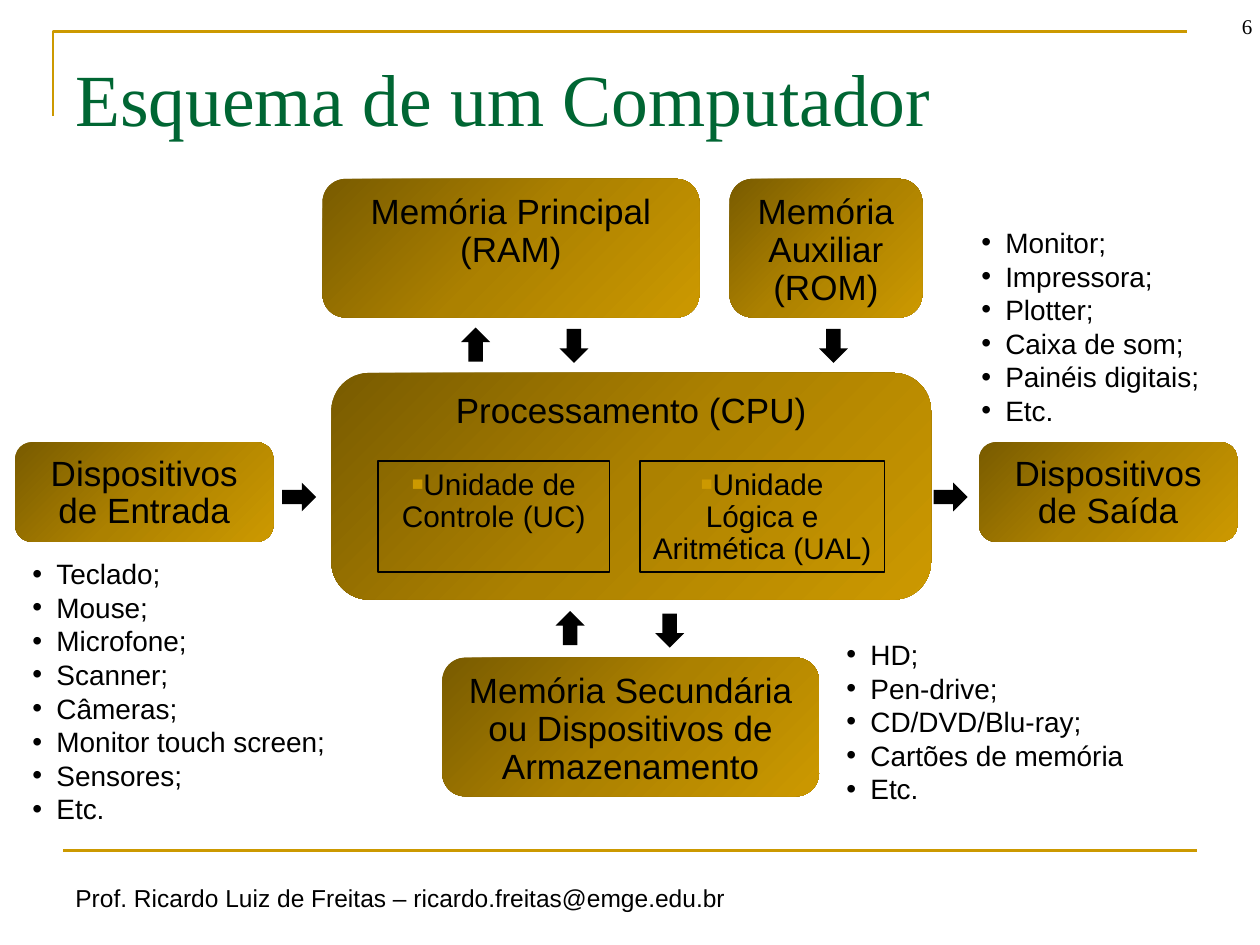
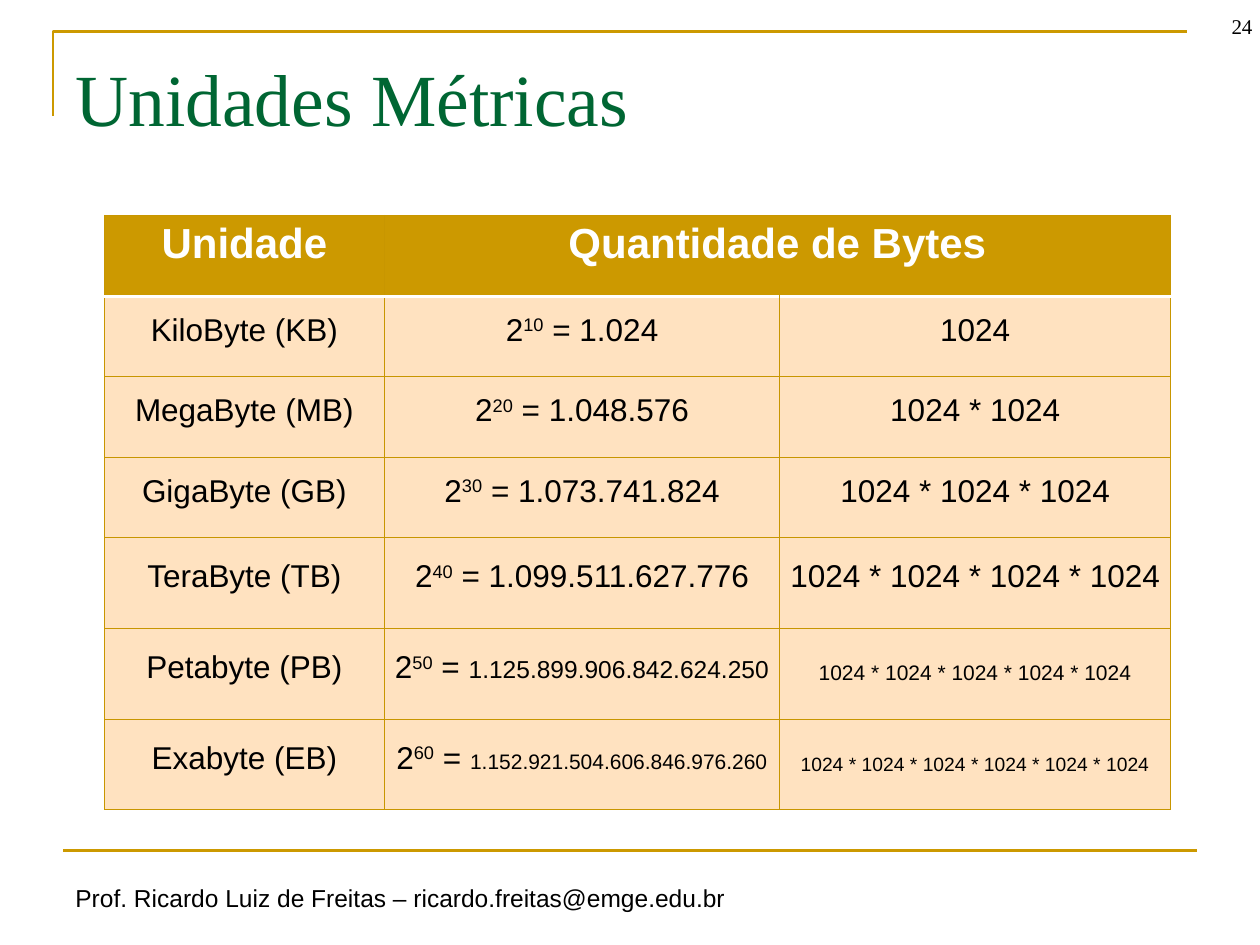
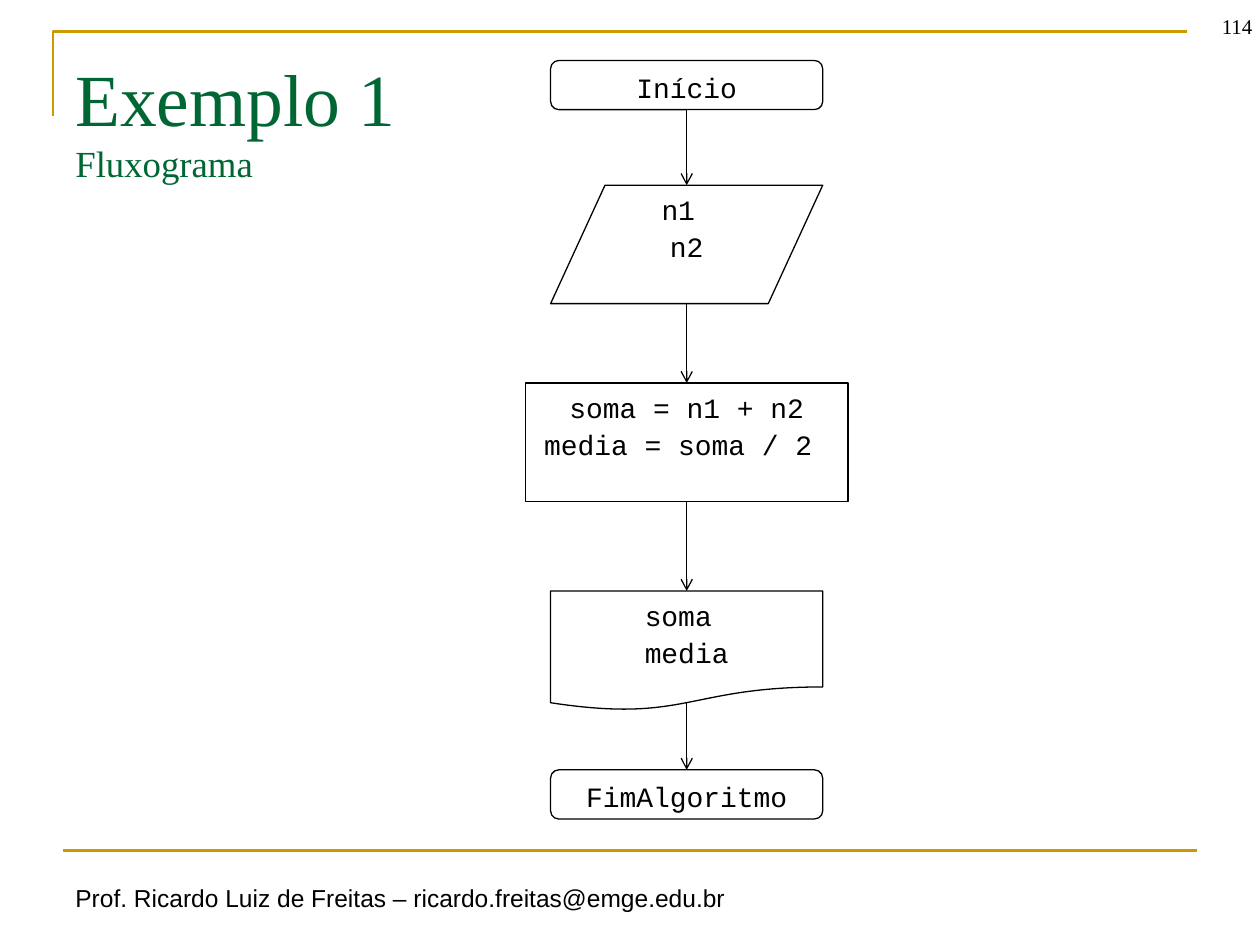
from copy import deepcopy

from lxml import etree
from pptx import Presentation
from pptx.dml.color import RGBColor
from pptx.enum import shapes, text
from pptx.oxml.ns import qn
from pptx.util import Inches, Pt

GOLD, GREEN, BLACK, WHITE = "CC9900", "006633", "000000", "FFFFFF"
GRADIENT = ("795B00", "AC8100", "CC9900")
GRID, CELL = "C89600", "FFE2C0"
SANS, SERIF, MONO = "Arial", "Times New Roman", "Courier New"
FOOTER = "Prof. Ricardo Luiz de Freitas – ricardo.freitas@emge.edu.br"
SHAPE = shapes.MSO_SHAPE
CENTER = text.PP_ALIGN.CENTER

# Content: computer diagram (label, left, top, width, height)
BLOCKS = [
    ("Memória Principal (RAM)", 2.56, 1.42, 2.99, 1.1),
    ("Memória Auxiliar (ROM)", 5.79, 1.42, 1.53, 1.1),
    ("Dispositivos de Entrada", 0.12, 3.51, 2.05, 0.79),
    ("Dispositivos de Saída", 7.77, 3.51, 2.05, 0.79),
    ("Memória Secundária ou Dispositivos de Armazenamento", 3.51, 5.22, 2.99, 1.1),
    ("Processamento (CPU)", 2.63, 2.96, 4.76, 1.8),
]
UNITS = [
    ("Unidade de Controle (UC)", 3, 3.66, 1.84, 0.88),
    ("Unidade\vLógica e Aritmética (UAL)", 5.08, 3.66, 1.94, 0.88),
]
# Arrows: left, top, rotation
ARROWS = [
    (3.66, 2.6, 0), (4.44, 2.61, 180), (6.5, 2.61, 180),
    (4.41, 4.85, 0), (5.2, 4.87, 180), (7.43, 3.81, 90), (2.26, 3.81, 90),
]
# Device lists: left, top, height, items
DEVICES = [
    (0.16, 4.37, 2.26, ["Teclado;", "Mouse;", "Microfone;", "Scanner;", "Câmeras;",
                        "Monitor touch screen;", "Sensores;", "Etc."]),
    (7.69, 1.74, 1.72, ["Monitor;", "Impressora;", "Plotter;", "Caixa de som;",
                        "Painéis digitais;", "Etc."]),
    (6.62, 5.01, 1.45, ["HD;", "Pen-drive;", "CD/DVD/Blu-ray;",
                        "Cartões de memória", "Etc."]),
]

# Content: units (name, bytes, size of bytes, size of product)
HEADINGS = ("Unidade", "Quantidade de Bytes")
MEASURES = [
    ("KiloByte (KB)", "1.024", 18, 18),
    ("MegaByte (MB)", "1.048.576", 18, 18),
    ("GigaByte (GB)", "1.073.741.824", 18, 18),
    ("TeraByte (TB)", "1.099.511.627.776", 18, 18),
    ("Petabyte (PB)", "1.125.899.906.842.624.250", 14, 12),
    ("Exabyte (EB)", "1.152.921.504.606.846.976.260", 12, 11),
]
COLUMNS = (2.22, 3.14, 3.1)
ROWS = (0.64,) * 4 + (0.72,) * 3

# Content: flowchart (lines, preset, top, width, height, where the arrow leaves)
AXIS = 5.45
STEPS = [
    (["Início"], SHAPE.FLOWCHART_ALTERNATE_PROCESS, 0.48, 2.16, 0.39, 0.87),
    (["n1 ", "n2"], SHAPE.FLOWCHART_DATA, 1.47, 2.16, 0.94, 2.41),
    (["soma = n1 + n2", "media = soma / 2 "], SHAPE.FLOWCHART_PROCESS, 3.04, 2.56, 0.94, 3.98),
    (["soma ", "media"], SHAPE.FLOWCHART_DOCUMENT, 4.69, 2.16, 0.95, 5.58),
    (["FimAlgoritmo"], SHAPE.FLOWCHART_ALTERNATE_PROCESS, 6.11, 2.16, 0.39, None),
]


def rgb(value):
    return RGBColor.from_string(value)


def inches(*values):
    return [Inches(value) for value in values]


def add_span(para, words, size, font=SANS, color=BLACK, bold=False):
    span = para.add_run()
    span.text = words
    span.font.size = Pt(size)
    span.font.name = font
    span.font.bold = bold
    span.font.color.rgb = rgb(color)
    return span


def add_lines(para, words, size, font=SANS, color=BLACK):
    """Write words, breaking the line at each vertical tab."""
    for number, line in enumerate(words.split("\v")):
        if number:
            para.add_line_break()
        add_span(para, line, size, font, color)


def add_bullet(para, mark, indent=0.0, color=None, percent=None):
    props = para._p.get_or_add_pPr()
    props.set("marL", str(Inches(indent)))
    props.set("indent", str(-Inches(indent)))
    if color:
        holder = etree.SubElement(props, qn("a:buClr"))
        etree.SubElement(holder, qn("a:srgbClr"), val=color)
    if percent:
        etree.SubElement(props, qn("a:buSzPct"), val=str(percent * 1000))
    etree.SubElement(props, qn("a:buFont"), typeface=SANS)
    etree.SubElement(props, qn("a:buChar"), char=mark)


def add_box(page, left, top, width, height, wrap=True):
    box = page.shapes.add_textbox(*inches(left, top, width, height))
    box.text_frame.word_wrap = wrap
    return box.text_frame


def add_outline(shape, color, width):
    shape.line.color.rgb = rgb(color)
    shape.line.width = Pt(width)


def add_rule(page, start, end, color, width, arrow=False):
    rule = page.shapes.add_connector(shapes.MSO_CONNECTOR.STRAIGHT, *inches(*start, *end))
    add_outline(rule, color, width)
    if arrow:
        etree.SubElement(rule.line._get_or_add_ln(), qn("a:tailEnd"), type="arrow")
    etree.SubElement(rule._element.spPr, qn("a:effectLst"))


def add_shape(page, preset, left, top, width, height, fill=None, line=None):
    shape = page.shapes.add_shape(preset, *inches(left, top, width, height))
    shape.shadow.inherit = False
    if fill:
        shape.fill.solid()
        shape.fill.fore_color.rgb = rgb(fill)
    else:
        shape.fill.background()
    if line:
        add_outline(shape, line, 0.75)
    else:
        shape.line.fill.background()
    return shape


def add_label(shape, lines, size, font=SANS, top=0.07, gap=4, side=0.1):
    frame = shape.text_frame
    frame.word_wrap = True
    frame.vertical_anchor = text.MSO_ANCHOR.TOP
    frame.margin_top = Inches(top)
    frame.margin_left = frame.margin_right = Inches(side)
    for number, line in enumerate(lines):
        para = frame.add_paragraph() if number else frame.paragraphs[0]
        para.alignment = CENTER
        para.line_spacing = 0.9
        if number:
            para.space_before = Pt(gap)
        add_lines(para, line, size, font)
    return frame.paragraphs[0]


def shade(shape):
    """Three-stop diagonal gradient."""
    shape.fill.gradient()
    shape.fill.gradient_angle = 315
    stops = shape._element.spPr.find(qn("a:gradFill")).find(qn("a:gsLst"))
    stops.insert(1, deepcopy(stops[0]))
    for stop, position, color in zip(shape.fill.gradient_stops, (0, 0.5, 1), GRADIENT):
        stop.position = position
        stop.color.rgb = rgb(color)


def add_page(deck, title, number, subtitle=None):
    """Blank page with frame, footer, title and page number."""
    page = deck.slides.add_slide(deck.slide_layouts[6])
    outline = page.shapes.build_freeform(*inches(0.42, 0.92), scale=1.0)
    outline.add_line_segments([inches(0.42, 0.25), inches(9.42, 0.25)], close=False)
    corner = outline.convert_to_shape()
    corner.shadow.inherit = False
    corner.fill.background()
    add_outline(corner, GOLD, 1.5)
    add_rule(page, (0.5, 6.75), (9.5, 6.75), GOLD, 1.5)
    add_span(add_box(page, 0.5, 6.96, 5.52, 0.34, wrap=False).paragraphs[0], FOOTER, 14)
    para = add_box(page, 0.5, 0.37, 9, 1.18).paragraphs[0]
    add_span(para, title, 42, SERIF, GREEN)
    if subtitle:
        para.add_line_break()
        add_span(para, subtitle, 21, SERIF, GREEN)
    frame = add_box(page, 9.25, 0, 0.75, 0.36)
    frame.vertical_anchor = text.MSO_ANCHOR.BOTTOM
    frame.margin_right = Inches(0.06)
    frame.paragraphs[0].alignment = text.PP_ALIGN.RIGHT
    add_span(frame.paragraphs[0], str(number), 12, SERIF)
    return page


def draw_computer(deck):
    page = add_page(deck, "Esquema de um Computador", 6)
    for label, *place in BLOCKS:
        block = add_shape(page, SHAPE.ROUNDED_RECTANGLE, *place)
        shade(block)
        add_label(block, [label], 20)
    for label, *place in UNITS:
        unit = add_shape(page, SHAPE.RECTANGLE, *place, line=BLACK)
        add_bullet(add_label(unit, [label], 17, side=0.08), "■", color=GOLD, percent=65)
    for left, top, turn in ARROWS:
        arrow = add_shape(page, SHAPE.UP_ARROW, left, top, 0.23, 0.27, fill=BLACK)
        arrow.rotation = turn
    for left, top, height, items in DEVICES:
        frame = add_box(page, left, top, 2.56, height)
        for number, item in enumerate(items):
            para = frame.add_paragraph() if number else frame.paragraphs[0]
            add_bullet(para, "•", indent=0.19)
            add_span(para, item, 16)


def set_border(cell, side, color, width):
    props = cell._tc.get_or_add_tcPr()
    line = etree.Element(qn("a:ln" + side), w=str(Pt(width)))
    fill = etree.SubElement(line, qn("a:solidFill"))
    etree.SubElement(fill, qn("a:srgbClr"), val=color)
    props.insert("LRTB".index(side), line)


def dress_cell(cell, fill, edges):
    cell.fill.solid()
    cell.fill.fore_color.rgb = rgb(fill)
    for side in "LRTB":
        set_border(cell, side, *edges.get(side, (GRID, 0.75)))
    cell.vertical_anchor = text.MSO_ANCHOR.MIDDLE
    cell.margin_left = cell.margin_right = Inches(0.06)
    cell.margin_top = cell.margin_bottom = Inches(0.06)
    para = cell.text_frame.paragraphs[0]
    para.alignment = CENTER
    para.line_spacing = Pt(13)
    para.space_after = Pt(8.5)
    return para


def draw_units(deck):
    page = add_page(deck, "Unidades Métricas", 24)
    table = page.shapes.add_table(len(ROWS), len(COLUMNS),
                                  *inches(0.83, 1.71, sum(COLUMNS), sum(ROWS))).table
    for column, width in zip(table.columns, COLUMNS):
        column.width = Inches(width)
    for row, height in zip(table.rows, ROWS):
        row.height = Inches(height)
    divider = (WHITE, 2)

    # Heading row
    table.cell(0, 1).merge(table.cell(0, 2))
    paras = [dress_cell(cell, GOLD, {"B": divider}) for cell in table.rows[0].cells]
    for para, heading in zip(paras, HEADINGS):
        add_span(para, heading, 24, color=WHITE, bold=True)

    # One row for each power of 1024
    for power, (name, amount, amount_size, product_size) in enumerate(MEASURES, 1):
        edges = {"T": divider} if power == 1 else {}
        first, second, third = [dress_cell(cell, CELL, edges)
                                for cell in table.rows[power].cells]
        add_span(first, name, 18)
        add_span(second, "2", 18)
        exponent = add_span(second, str(power * 10), 18)
        exponent.font._element.set("baseline", "30000")
        add_span(second, " = ", 18)
        add_span(second, amount, amount_size)
        add_span(third, " * ".join(["1024"] * power), product_size)


def draw_flowchart(deck):
    page = add_page(deck, "Exemplo 1", 114, "Fluxograma")
    for lines, preset, top, width, height, _ in STEPS:
        step = add_shape(page, preset, AXIS - width / 2, top, width, height, line=BLACK)
        add_label(step, lines, 16, MONO, top=0.09)
    for step, following in zip(STEPS, STEPS[1:]):
        add_rule(page, (AXIS, step[-1]), (AXIS, following[2]), BLACK, 0.75, arrow=True)


def main():
    deck = Presentation()
    deck.slide_width, deck.slide_height = inches(10, 7.5)
    draw_computer(deck)
    draw_units(deck)
    draw_flowchart(deck)
    deck.save("out.pptx")


if __name__ == "__main__":
    main()
